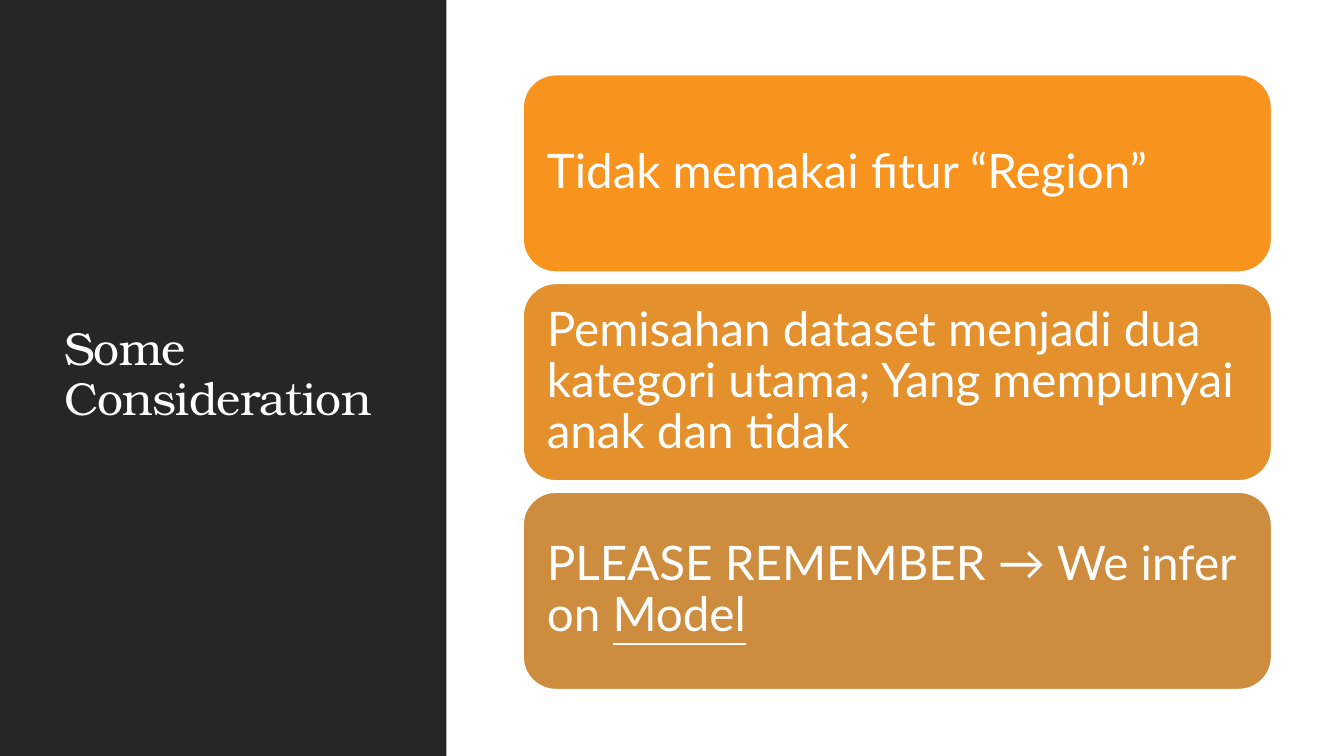
from pptx import Presentation
from pptx.dml.color import RGBColor
from pptx.enum.shapes import MSO_SHAPE
from pptx.enum.text import MSO_ANCHOR, PP_ALIGN
from pptx.util import Cm, Pt

COLOURS = {
    "white": "FFFFFF",
    "panel": "262626",
    "orange": "F8931D",
    "amber": "E3902D",
    "bronze": "CE8D3E",
}
CARD_TOP, CARD_HEIGHT, CARD_PITCH = 1.88, 4.98, 5.26
# Each card: fill colour, then (text, underlined) spans
CARDS = [
    ("orange", [("Tidak memakai fitur “Region”", False)]),
    ("amber", [("Pemisahan dataset menjadi dua kategori utama; "
                "Yang mempunyai anak dan tidak", False)]),
    ("bronze", [("PLEASE REMEMBER → We infer on ", False), ("Model", True)]),
]


def colour(name):
    return RGBColor.from_string(COLOURS[name])


def add_block(page, kind, left, top, width, height, fill, line=None):
    block = page.shapes.add_shape(kind, Cm(left), Cm(top), Cm(width), Cm(height))
    block.shadow.inherit = False
    block.fill.solid()
    block.fill.fore_color.rgb = colour(fill)
    if line:
        block.line.color.rgb = colour(line)
        block.line.width = Pt(1.25)
    else:
        block.line.fill.background()
    return block


def write_text(box, spans, font, size, spacing=None):
    """Fill the box with one left-aligned paragraph; spacing is in 1/100 pt."""
    frame = box.text_frame
    frame.word_wrap = True
    frame.vertical_anchor = MSO_ANCHOR.MIDDLE
    para = frame.paragraphs[0]
    para.alignment = PP_ALIGN.LEFT
    para.line_spacing = 0.9
    for text, underlined in spans:
        span = para.add_run()
        span.text = text
        span.font.name = font
        span.font.size = Pt(size)
        span.font.color.rgb = colour("white")
        if underlined:
            span.font.underline = True
        if spacing:
            span._r.get_or_add_rPr().set("spc", str(spacing))


def add_title(page, text):
    box = page.shapes.add_textbox(Cm(1.37), Cm(1.45), Cm(8.56), Cm(16.03))
    write_text(box, [(text, False)], font="TeX Gyre Bonum", size=33, spacing=-50)


def add_card(page, top, fill, spans):
    card = add_block(page, MSO_SHAPE.ROUNDED_RECTANGLE, 13.18, top, 18.87,
                     CARD_HEIGHT, fill, line="white")
    frame = card.text_frame
    frame.margin_left = frame.margin_right = Cm(0.36)
    frame.margin_top = frame.margin_bottom = Cm(0.36)
    write_text(card, spans, font="Lato", size=34)


def main():
    deck = Presentation()
    deck.slide_width, deck.slide_height = Cm(33.87), Cm(19.05)
    page = deck.slides.add_slide(deck.slide_layouts[6])
    add_block(page, MSO_SHAPE.RECTANGLE, 0, 0, 11.25, 19.05, "panel")
    add_title(page, "Some Consideration")
    for index, (fill, spans) in enumerate(CARDS):
        add_card(page, CARD_TOP + index * CARD_PITCH, fill, spans)
    deck.save("out.pptx")


if __name__ == "__main__":
    main()
